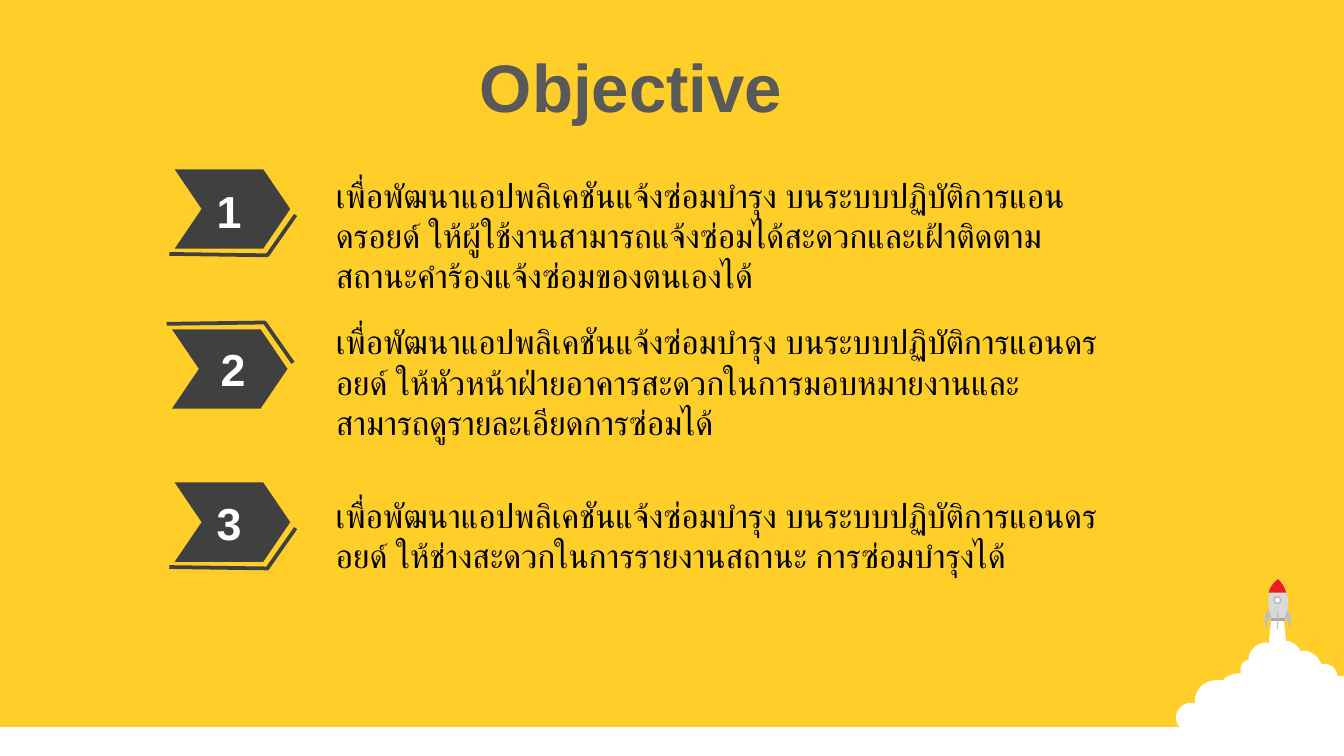
from dataclasses import dataclass

from pptx import Presentation
from pptx.dml.color import RGBColor
from pptx.enum.shapes import MSO_SHAPE
from pptx.enum.text import MSO_ANCHOR, MSO_AUTO_SIZE, PP_ALIGN
from pptx.util import Inches, Pt


@dataclass(frozen=True)
class Theme:
    font: str = "Arial"
    background: str = "FFCE29"
    white: str = "FFFFFF"
    dark: str = "404040"
    title: str = "595959"
    body: str = "000000"
    hull: str = "D9D9D9"
    fins: str = "BFBFBF"
    nozzle: str = "A6A6A6"
    nose: str = "ED1C24"
    title_size: int = 36
    body_size: int = 18
    number_size: int = 24


theme = Theme()


def style_text(frame, size, color, bold=False, align=PP_ALIGN.LEFT, wrap=True):
    frame.word_wrap = wrap
    frame.auto_size = MSO_AUTO_SIZE.SHAPE_TO_FIT_TEXT
    frame.vertical_anchor = MSO_ANCHOR.TOP
    paragraph = frame.paragraphs[0]
    paragraph.alignment = align
    font = paragraph.runs[0].font
    font.name, font.size, font.bold = theme.font, Pt(size), bold
    font.color.rgb = RGBColor.from_string(color)


def draw_outline(shapes, start, segments, close=True):
    """Join segments of two numbers (line end) or six (cubic curve), in inches."""
    points = [start]
    for segment in segments:
        if len(segment) == 2:
            points.append(segment)
            continue
        x0, y0 = points[-1]
        x1, y1, x2, y2, x3, y3 = segment
        for step in range(1, 9):
            t = step / 8
            a, b, c, d = (1 - t) ** 3, 3 * t * (1 - t) ** 2, 3 * t * t * (1 - t), t ** 3
            points.append((a * x0 + b * x1 + c * x2 + d * x3,
                           a * y0 + b * y1 + c * y2 + d * y3))
    points = [(Inches(x), Inches(y)) for x, y in points]
    builder = shapes.build_freeform(*points[0])
    builder.add_line_segments(points[1:], close=close)
    outline = builder.convert_to_shape()
    outline.shadow.inherit = False
    return outline


prs = Presentation()
prs.slide_width = Inches(10)
prs.slide_height = Inches(10) * 9 // 16
slide = prs.slides.add_slide(prs.slide_layouts[5])
slide.background.fill.solid()
slide.background.fill.fore_color.rgb = RGBColor.from_string(theme.background)
shapes = slide.shapes

title = shapes.title
title.left, title.top, title.width, title.height = map(Inches, (3.47, 0.29, 2.47, 0.71))
title.text_frame.text = "Objective"
style_text(title.text_frame, theme.title_size, theme.title, bold=True, wrap=False)

# Ground, smoke cloud and rocket
ground = shapes.add_shape(MSO_SHAPE.RECTANGLE, 0, Inches(5.41), Inches(10), Inches(0.24))
ground.shadow.inherit = False
ground.fill.solid()
ground.fill.fore_color.rgb = RGBColor.from_string(theme.white)
ground.line.fill.background()

smoke = [
    (9.55, 4.59), (9.57, 4.77), (9.59, 4.77), (9.62, 4.78, 9.65, 4.8, 9.67, 4.83),
    (9.68, 4.85), (9.69, 4.84), (9.75, 4.84, 9.81, 4.88, 9.83, 4.94), (9.84, 4.94),
    (9.86, 4.94), (9.9, 4.94, 9.94, 4.97, 9.95, 5.02), (9.95, 5.03), (10, 5.03),
    (10, 5.6), (9.98, 5.6), (9.94, 5.6, 9.9, 5.59, 9.87, 5.57), (9.86, 5.56),
    (9.85, 5.57), (9.83, 5.58, 9.81, 5.59, 9.78, 5.59),
    (9.75, 5.59, 9.73, 5.57, 9.71, 5.55), (9.69, 5.54), (9.69, 5.55),
    (9.67, 5.58, 9.64, 5.59, 9.6, 5.59), (9.57, 5.59, 9.54, 5.58, 9.52, 5.56),
    (9.51, 5.55), (9.49, 5.56), (9.45, 5.59, 9.4, 5.61, 9.34, 5.61),
    (9.23, 5.61, 9.17, 5.56, 9.13, 5.51), (9.11, 5.53, 9.07, 5.54, 9.04, 5.53),
    (9, 5.52, 8.94, 5.5, 8.93, 5.45), (8.93, 5.43), (8.92, 5.44),
    (8.91, 5.45, 8.89, 5.45, 8.86, 5.45), (8.8, 5.45, 8.75, 5.4, 8.75, 5.34),
    (8.75, 5.28, 8.8, 5.23, 8.86, 5.23), (8.88, 5.23), (8.89, 5.24), (8.89, 5.22),
    (8.89, 5.13, 8.96, 5.06, 9.06, 5.06), (9.1, 5.06), (9.11, 5.05),
    (9.14, 5.02, 9.18, 5.01, 9.23, 5.01), (9.23, 4.98),
    (9.23, 4.95, 9.25, 4.92, 9.28, 4.91), (9.29, 4.91), (9.29, 4.89),
    (9.3, 4.83, 9.36, 4.78, 9.42, 4.78), (9.44, 4.79),
]
hull = [(9.44, 4.53, 9.4, 4.4, 9.51, 4.31), (9.62, 4.41, 9.58, 4.54, 9.56, 4.62)]
nozzle = [(9.56, 4.6), (9.56, 4.62), (9.46, 4.62)]
nose = [(9.54, 4.34, 9.56, 4.37, 9.57, 4.41), (9.44, 4.41),
        (9.45, 4.37, 9.47, 4.34, 9.51, 4.31)]
left_fin = [(9.46, 4.59), (9.42, 4.61, 9.43, 4.66, 9.42, 4.68),
            (9.41, 4.65, 9.4, 4.57, 9.44, 4.54)]
right_fin = [(9.56, 4.59), (9.59, 4.61, 9.59, 4.66, 9.6, 4.68),
             (9.6, 4.65, 9.62, 4.57, 9.58, 4.54)]
for start, segments, color in [
    ((9.46, 4.59), smoke, theme.white),
    ((9.46, 4.62), hull, theme.hull),
    ((9.46, 4.6), nozzle, theme.nozzle),
    ((9.51, 4.31), nose, theme.nose),
    ((9.44, 4.54), left_fin, theme.fins),
    ((9.58, 4.54), right_fin, theme.fins),
]:
    part = draw_outline(shapes, start, segments)
    part.fill.solid()
    part.fill.fore_color.rgb = RGBColor.from_string(color)
    part.line.fill.background()

window = shapes.add_shape(MSO_SHAPE.OVAL, *map(Inches, (9.48, 4.44, 0.05, 0.05)))
middle_fin = shapes.add_shape(MSO_SHAPE.RECTANGLE, *map(Inches, (9.5, 4.55, 0.01, 0.13)))
for part, color in [(window, theme.white), (middle_fin, theme.fins)]:
    part.shadow.inherit = False
    part.fill.solid()
    part.fill.fore_color.rgb = RGBColor.from_string(color)
window.line.color.rgb = RGBColor.from_string(theme.fins)
window.line.width = Pt(1)
middle_fin.line.fill.background()

# Numbered objectives: marker left and top, number left and top, text top and width
objectives = [
    (1.30, 1.26, 1.40, 1.32, 1.25, 5.75,
     "เพื่อพัฒนาแอปพลิเคชันแจ้งซ่อมบำรุง บนระบบปฏิบัติการแอนดรอยด์ "
     "ให้ผู้ใช้งานสามารถแจ้งซ่อมได้สะดวกและเฝ้าติดตามสถานะคำร้องแจ้งซ่อมของตนเองได้"),
    (1.28, 2.45, 1.43, 2.49, 2.34, 5.89,
     "เพื่อพัฒนาแอปพลิเคชันแจ้งซ่อมบำรุง บนระบบปฏิบัติการแอนดรอยด์ "
     "ให้หัวหน้าฝ่ายอาคารสะดวกในการมอบหมายงานและสามารถดูรายละเอียดการซ่อมได้"),
    (1.30, 3.59, 1.40, 3.64, 3.63, 6.03,
     "เพื่อพัฒนาแอปพลิเคชันแจ้งซ่อมบำรุง บนระบบปฏิบัติการแอนดรอยด์ "
     "ให้ช่างสะดวกในการรายงานสถานะ การซ่อมบำรุงได้"),
]
marker_height = 0.59
for number, (x, y, number_x, number_y, text_y, text_width, text) in enumerate(objectives, 1):
    marker = shapes.add_shape(MSO_SHAPE.CHEVRON, Inches(x), Inches(y),
                              Inches(0.86), Inches(marker_height))
    marker.adjustments[0] = 0.34
    marker.shadow.inherit = False
    marker.fill.solid()
    marker.fill.fore_color.rgb = RGBColor.from_string(theme.dark)
    marker.line.fill.background()

    # The accent line lies below odd markers and is mirrored above even ones
    accent_points = [(x + dx, y + (dy if number % 2 else marker_height - dy))
                     for dx, dy in [(0.9, 0.34), (0.69, 0.64), (-0.04, 0.63)]]
    accent = draw_outline(shapes, accent_points[0], accent_points[1:], close=False)
    accent.fill.background()
    accent.line.color.rgb = RGBColor.from_string(theme.dark)
    accent.line.width = Pt(2)

    objective = shapes.add_textbox(Inches(2.4), Inches(text_y), Inches(text_width), Inches(0.71))
    objective.text_frame.text = text
    style_text(objective.text_frame, theme.body_size, theme.body)

    label = shapes.add_textbox(Inches(number_x), Inches(number_y), Inches(0.61), Inches(0.5))
    label.text_frame.text = str(number)
    style_text(label.text_frame, theme.number_size, theme.white, bold=True,
               align=PP_ALIGN.CENTER)

prs.save("out.pptx")
